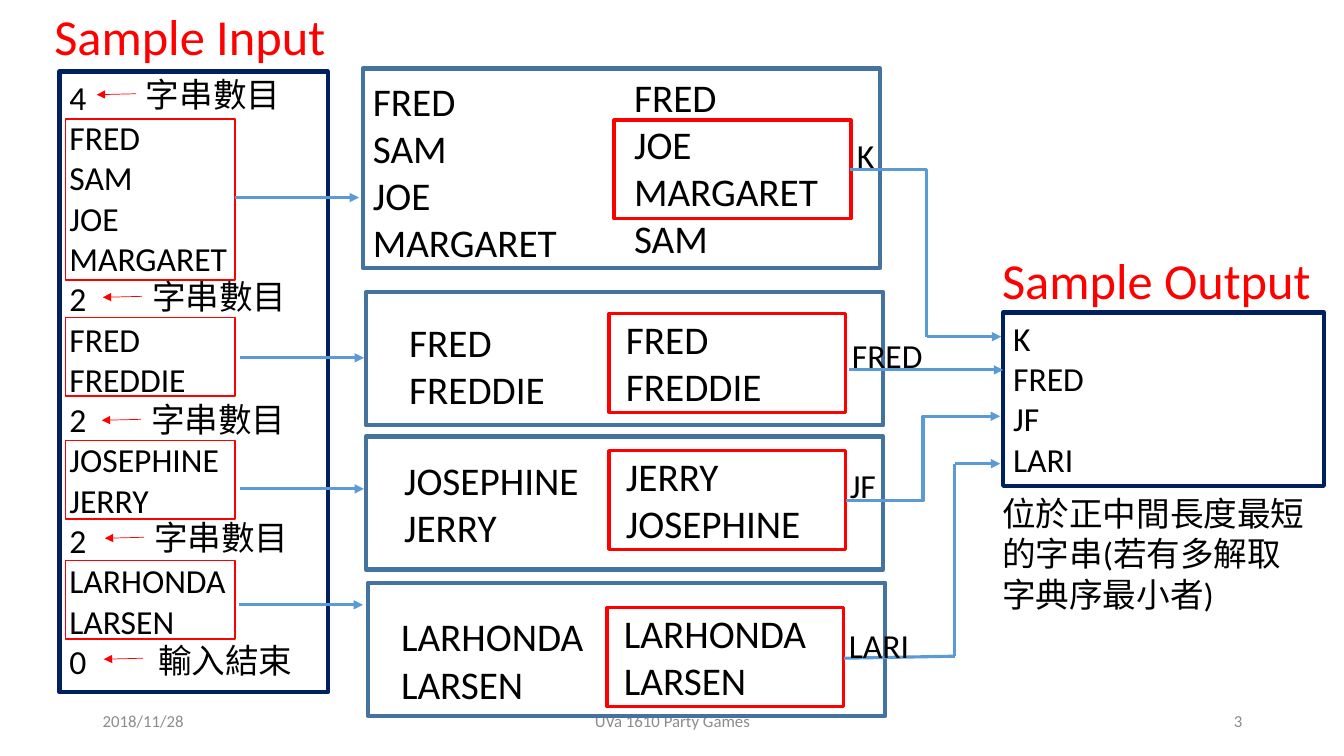
from lxml import etree
from pptx import Presentation
from pptx.dml.color import RGBColor
from pptx.enum import shapes as kinds, text as txt
from pptx.oxml import ns
from pptx.util import Inches, Pt

BLACK = RGBColor(0, 0, 0)
RED = RGBColor(0xFF, 0, 0)
NAVY = RGBColor(0, 0x20, 0x60)
STEEL = RGBColor(0x43, 0x73, 0x9E)
BLUE = RGBColor(0x5B, 0x9B, 0xD5)
GRAY = RGBColor(0x8C, 0x8C, 0x8C)
LATIN, HAN = "Calibri", "Noto Sans CJK SC"
LEFT, MID, RIGHT = txt.PP_ALIGN.LEFT, txt.PP_ALIGN.CENTER, txt.PP_ALIGN.RIGHT
COUNT = "字串數目"


def write(frame, lines, size, color=BLACK, align=LEFT, han=False):
    """Fill a text frame, one paragraph for each line."""
    frame.word_wrap = True
    for i, line in enumerate(lines):
        para = frame.add_paragraph() if i else frame.paragraphs[0]
        para.alignment = align
        run = para.add_run()
        run.text = line
        look = {"size": Pt(size), "name": LATIN}
        for key, value in look.items():
            setattr(run.font, key, value)
        run.font.color.rgb = color
        if han:
            east = etree.SubElement(run.font._element, ns.qn("a:ea"))
            east.set("typeface", HAN)


def label(shapes, box, lines, size, anchor=txt.MSO_ANCHOR.TOP, **look):
    frame = shapes.add_textbox(*map(Inches, box)).text_frame
    frame.vertical_anchor = anchor
    write(frame, lines, size, **look)


def outline(shapes, box, color, width):
    rect = shapes.add_shape(kinds.MSO_SHAPE.RECTANGLE, *map(Inches, box))
    rect.shadow.inherit = False
    rect.fill.background()
    rect.line.color.rgb = color
    rect.line.width = Pt(width)
    return rect


def link(shapes, start, end, color=BLUE, width=2.25, head=True,
         kind=kinds.MSO_CONNECTOR.STRAIGHT):
    line = shapes.add_connector(kind, *map(Inches, (*start, *end)))
    line.line.color.rgb = color
    line.line.width = Pt(width)
    if head:
        tip = etree.SubElement(line.line._get_or_add_ln(), ns.qn("a:tailEnd"))
        tip.set("type", "triangle")
    etree.SubElement(line._element.spPr, ns.qn("a:effectLst"))


def route(shapes, points):
    """Join the points with straight lines; the last one has an arrowhead."""
    for i, (start, end) in enumerate(zip(points, points[1:]), 2):
        link(shapes, start, end, head=i == len(points))


def panel(shapes, box, lines):
    rect = outline(shapes, box, NAVY, 3)
    rect.text_frame.vertical_anchor = txt.MSO_ANCHOR.TOP
    write(rect.text_frame, lines, 24)


def case(shapes, box, names, raw, pair, mark):
    """Frame with the names as read, as sorted, and the middle pair marked."""
    x, y = box[:2]
    group = shapes.add_group_shape().shapes
    high = 0.1 + 0.47 * len(names)
    label(group, (x + raw[0], y + raw[1], 2.56, high), names, 28)
    label(group, (x + pair[0], y + pair[1], 2.09, high), sorted(names), 28)
    outline(group, (x + mark[0], y + mark[1], 2.35, 0.98), RED, 2.25)
    outline(group, box, STEEL, 3)


def note(shapes, x, y, words, tip, drop):
    """Remark on an input line, with a short red arrow towards it."""
    label(shapes, (x, y, 1.63, 0.5), [words], 24, han=True)
    link(shapes, (tip, y + drop), (tip - 0.39, y + drop + 0.01), RED, 0.5)


def source(shapes, box, cases):
    x, y = box[:2]
    lines = [s for names in cases for s in (str(len(names)), *names)]
    panel(shapes, box, lines + ["0"])
    for top, high in ((0.47, 1.6), (2.44, 0.78), (3.66, 0.78), (4.85, 0.78)):
        outline(shapes, (x + 0.06, y + top, 1.68, high), RED, 1)
    for dx, dy in ((0.76, -0.03), (0.82, 1.98), (0.81, 3.2), (0.84, 4.37)):
        note(shapes, x + dx, y + dy, COUNT, x + dx, 0.25)
    note(shapes, x + 0.88, y + 5.59, "輸入結束", x + 0.83, 0.23)


def result(shapes, box):
    x, y, wide, high = box
    label(shapes, (x - 0.11, y - 0.68, 3.49, 0.71), ["Sample Output"], 36, color=RED)
    panel(shapes, box, ["K", "FRED", "JF", "LARI"])
    label(shapes, (x - 0.11, y + high + 0.02, 3.22, 1.31),
          ["位於正中間長度最短的字串(若有多解取字典序最小者)"], 24, han=True)


def wires(shapes):
    for x, y in ((2.33, 1.96), (2.38, 3.55), (2.38, 4.85), (2.37, 6)):
        link(shapes, (x, y), (x + 1.23, y))
    route(shapes, [(8.43, 1.68), (9.19, 1.68), (9.19, 3.34), (9.93, 3.34)])
    route(shapes, [(8.42, 3.67), (9.95, 3.67)])
    link(shapes, (8.39, 4.97), (9.92, 4.13), kind=kinds.MSO_CONNECTOR.ELBOW)
    route(shapes, [(8.37, 6.53), (9.47, 6.51), (9.47, 4.6), (9.92, 4.6)])
    for x, y, word in ((8.4, 1.29, "K"), (8.35, 3.27, "FRED"),
                       (8.33, 4.56, "JF"), (8.32, 6.15, "LARI")):
        label(shapes, (x, y, 0.91, 0.5), [word], 24)


def footer(shapes, y):
    for x, wide, words, align in ((0.92, 3, "2018/11/28", LEFT),
                                  (4.42, 4.5, "UVa 1610 Party Games", MID),
                                  (9.42, 3, "3", RIGHT)):
        label(shapes, (x, y, wide, 0.4), [words], 12, txt.MSO_ANCHOR.MIDDLE,
              color=GRAY, align=align)


def main():
    deck = Presentation()
    deck.slide_width, deck.slide_height = Inches(13.33), Inches(7.5)
    shapes = deck.slides.add_slide(deck.slide_layouts[6]).shapes
    cases = [["FRED", "SAM", "JOE", "MARGARET"], ["FRED", "FREDDIE"],
             ["JOSEPHINE", "JERRY"], ["LARHONDA", "LARSEN"]]
    spots = [
        ((3.6, 0.68, 5.13, 1.98), (0, 0.04), (2.59, 0), (2.49, 0.51)),
        ((3.63, 2.9, 5.13, 1.32), (0.33, 0.21), (2.48, 0.18), (2.41, 0.21)),
        ((3.63, 4.33, 5.13, 1.32), (0.28, 0.15), (2.48, 0.11), (2.41, 0.14)),
        ((3.65, 5.78, 5.13, 1.32), (0.23, 0.25), (2.44, 0.22), (2.37, 0.25)),
    ]
    label(shapes, (0.44, 0, 3.2, 0.71), ["Sample Input"], 36, color=RED)
    source(shapes, (0.59, 0.71, 2.66, 6.16), cases)
    result(shapes, (9.95, 3.1, 3.18, 1.72))
    footer(shapes, 6.95)
    for names, (box, *parts) in zip(cases, spots):
        case(shapes, box, names, *parts)
    wires(shapes)
    deck.save("out.pptx")


if __name__ == "__main__":
    main()
